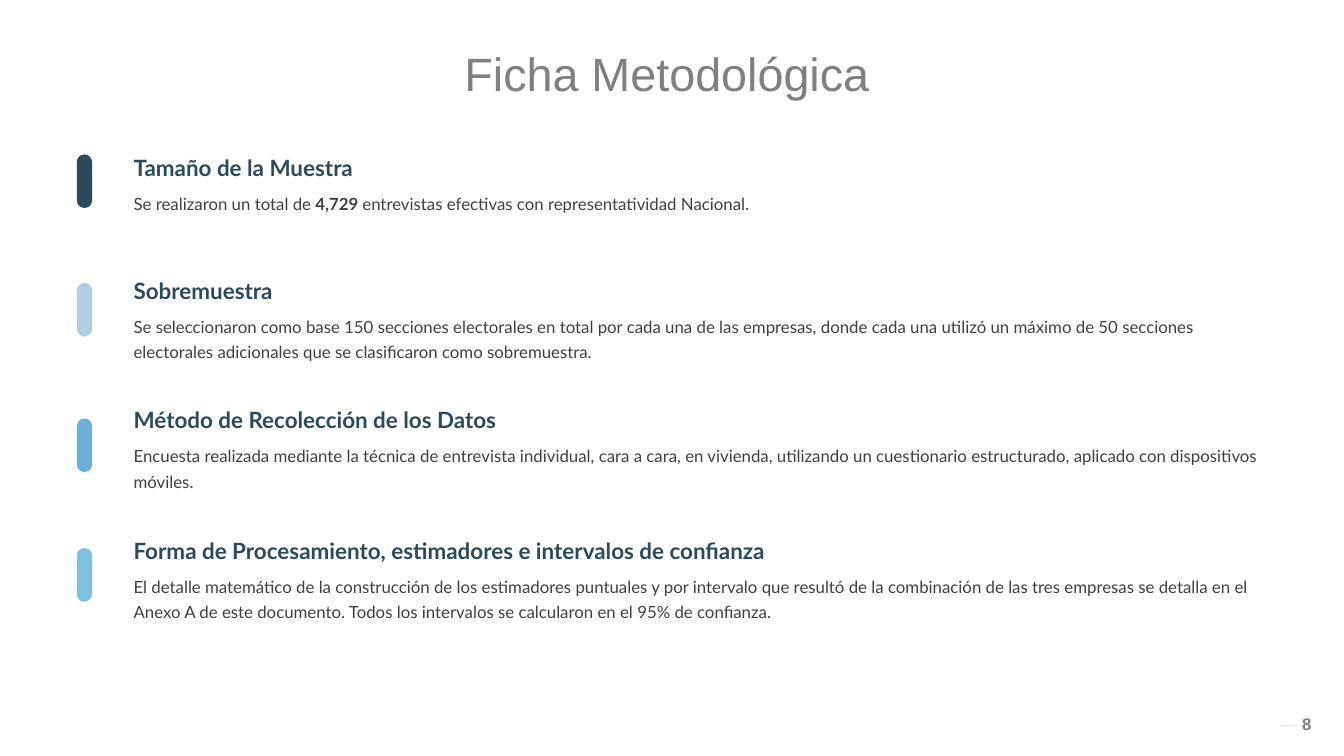
from lxml import etree
from pptx import Presentation
from pptx.dml.color import RGBColor
from pptx.enum import shapes, text
from pptx.oxml import ns
from pptx.util import Inches, Pt

NAVY = RGBColor(0x2D, 0x4A, 0x5C)
PALE = RGBColor(0xB2, 0xCF, 0xE1)
BLUE = RGBColor(0x6B, 0xB0, 0xDB)
SKY = RGBColor(0x7E, 0xC0, 0xE1)
DARK = RGBColor(0x40, 0x40, 0x40)
GRAY = RGBColor(0x80, 0x80, 0x80)

TITLE = {"name": "Arial", "size": Pt(66.7), "bold": False}
HEADING = {"name": "Lato", "size": Pt(32), "bold": True}
BODY = {"name": "Lato", "size": Pt(24), "bold": False}
NUMBER = {"name": "Arial", "size": Pt(24), "bold": True}

SECTIONS = [
    (2.91, 3.07, NAVY, "Tamaño de la Muestra",
     [("Se realizaron un total de ", False), ("4,729 ", True),
      ("entrevistas efectivas con representatividad Nacional.", False)]),
    (5.34, 5.62, PALE, "Sobremuestra",
     [("Se seleccionaron como base 150 secciones electorales en total por cada una "
       "de las empresas, donde cada una utilizó un máximo de 50 secciones "
       "electorales adicionales que se clasificaron como sobremuestra.", False)]),
    (7.91, 8.31, BLUE, "Método de Recolección de los Datos",
     [("Encuesta realizada mediante la técnica de entrevista individual, cara a "
       "cara, en vivienda, utilizando un cuestionario estructurado, aplicado con "
       "dispositivos móviles.", False)]),
    (10.5, 10.88, SKY, "Forma de Procesamiento, estimadores e intervalos de confianza",
     [("El detalle matemático de la construcción de los estimadores puntuales y por "
       "intervalo que resultó de la combinación de las tres empresas se detalla en "
       "el Anexo A de este documento. Todos los intervalos se calcularon en el 95% "
       "de confianza.", False)]),
]


def apply(target, values):
    """Set each attribute in a dict of format values."""
    for name, value in values.items():
        setattr(target, name, value)


def place(shape, left, top, width, height):
    """Move and size a shape, in inches."""
    apply(shape, {"left": Inches(left), "top": Inches(top),
                  "width": Inches(width), "height": Inches(height)})


def write(box, spans, style, color, margins, spacing=None,
          anchor=text.MSO_ANCHOR.TOP, align=text.PP_ALIGN.LEFT):
    """Fill a box with one formatted paragraph."""
    side_left, side_right, edge = map(Inches, margins)
    frame = box.text_frame
    apply(frame, {"word_wrap": True, "auto_size": text.MSO_AUTO_SIZE.NONE,
                  "vertical_anchor": anchor, "margin_left": side_left,
                  "margin_right": side_right, "margin_top": edge,
                  "margin_bottom": edge})
    para = frame.paragraphs[0]
    apply(para, {"alignment": align, "line_spacing": spacing, "space_before": Pt(0)})
    for words, bold in spans:
        span = para.add_run()
        span.text = words
        apply(span.font, {**style, "bold": bold or style["bold"]})
        span.font.color.rgb = color


def add_title(page, left, top, width, height):
    """Place the centred page title."""
    title = page.shapes.title
    place(title, left, top, width, height)
    write(title, [("Ficha Metodológica", False)], TITLE, GRAY, (0, 0.2, 0.1),
          0.7, align=text.PP_ALIGN.CENTER)


def add_section(page, left, top, width, bar_top, color, heading, spans):
    """Place a coloured bar with a heading and its body text."""
    margins = (0.27, 0.27, 0.13)
    bar = page.shapes.add_shape(shapes.MSO_SHAPE.ROUNDED_RECTANGLE, Inches(left),
                                Inches(bar_top), Inches(0.29), Inches(1.05))
    bar.adjustments[0] = 0.5
    bar.shadow.inherit = False
    bar.fill.solid()
    bar.fill.fore_color.rgb = color
    bar.line.color.rgb = color
    bar.line.width = Pt(1)
    rows = [(top, 0.79, [(heading, True)], HEADING, NAVY, 40.4),
            (top + 0.7, 1.23, spans, BODY, DARK, 36.4)]
    for row_top, height, words, style, ink, spacing in rows:
        box = page.shapes.add_textbox(Inches(left + 0.85), Inches(row_top),
                                      Inches(width - 0.85), Inches(height))
        write(box, words, style, ink, margins, Pt(spacing))


def add_page_number(page, left, top, width, height):
    """Place the page number with a faint rule before it."""
    rule_y = Inches(top + 0.31)
    rule = page.shapes.add_connector(shapes.MSO_CONNECTOR.STRAIGHT,
                                     Inches(left), rule_y,
                                     Inches(left + 0.33), rule_y)
    rule.line.color.rgb = DARK
    rule.line.width = Pt(1)
    properties = rule._element.spPr
    ink = properties.find(".//" + ns.qn("a:srgbClr"))
    etree.SubElement(ink, ns.qn("a:alpha"), val="20000")
    etree.SubElement(properties, ns.qn("a:effectLst"))
    box = page.shapes.add_textbox(Inches(left + 0.33), Inches(top),
                                  Inches(width - 0.33), Inches(height))
    write(box, [("8", True)], NUMBER, GRAY, (0.1, 0.1, 0.05),
          anchor=text.MSO_ANCHOR.MIDDLE)


def main():
    """Build the methodology page."""
    deck = Presentation()
    deck.slide_width, deck.slide_height = Inches(26.66), Inches(15)
    page = deck.slides.add_slide(deck.slide_layouts[5])
    add_title(page, 0, 1.09, 26.66, 1.05)
    for top, *details in SECTIONS:
        add_section(page, 1.53, top, 24.01, *details)
    add_page_number(page, 25.4, 14.09, 0.98, 0.54)
    deck.save("out.pptx")


if __name__ == "__main__":
    main()
